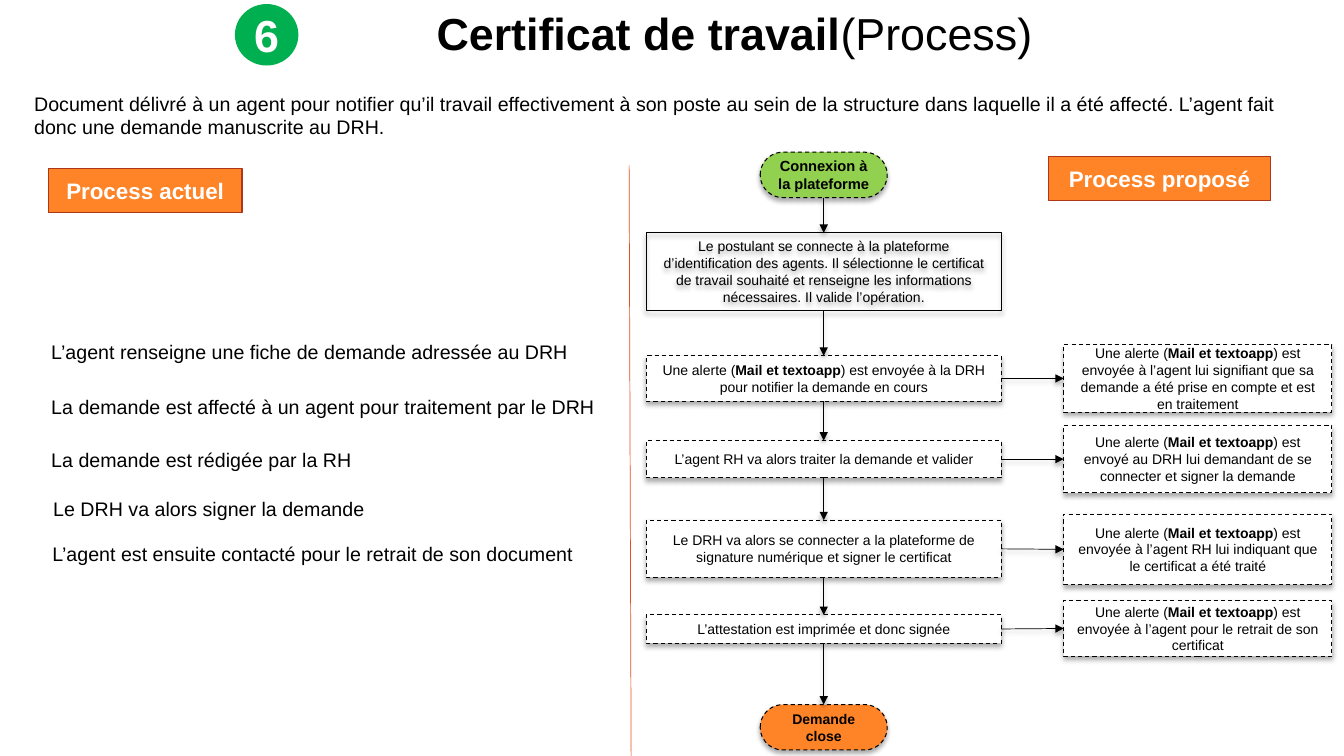
from lxml import etree
from pptx import Presentation
from pptx.dml.color import RGBColor
from pptx.enum.dml import MSO_LINE_DASH_STYLE as Dash
from pptx.enum.shapes import MSO_CONNECTOR as Connector, MSO_SHAPE as Shape
from pptx.enum.text import MSO_ANCHOR as Anchor, MSO_AUTO_SIZE as AutoSize, PP_ALIGN as Align
from pptx.oxml.ns import qn
from pptx.util import Emu, Pt

EMU_PER_PX = 9144  # 100 px to the inch
BLACK, WHITE, ORANGE = "000000", "FFFFFF", "FF8427"
TOP, LEFT, BOTTOM, RIGHT = range(4)  # connection sites

INTRO = ("Document délivré à un agent pour notifier qu’il travail effectivement à son poste "
         "au sein de la structure dans laquelle il a été affecté. L’agent fait donc une "
         "demande manuscrite au DRH.")

CURRENT_STEPS = [  # left, top, width, text
    (41, 332, 535, "L’agent renseigne une fiche de demande adressée au DRH"),
    (41, 387, 561, "La demande est affecté à un agent pour traitement par le DRH"),
    (41, 439, 319, "La demande est rédigée par la RH"),
    (43, 488, 330, "Le DRH va alors signer la demande"),
    (42, 533, 539, "L’agent est ensuite contacté pour le retrait de son document"),
]

CONNECTION_STEP = ("Le postulant se connecte à la plateforme d’identification des agents. "
                   "Il sélectionne le certificat de travail souhaité et renseigne les "
                   "informations nécessaires. Il valide l’opération.")

ALERT = "Une alerte (**Mail et textoapp**) est "
PROPOSED_STEPS = [  # step top, height, text; alert top, height, text
    (353, 45, ALERT + "envoyée à la DRH pour notifier la demande en cours",
     342, 67, ALERT + "envoyée à l’agent lui signifiant que sa demande a été prise en compte "
                      "et est en traitement"),
    (437, 37, "L’agent RH va alors traiter la demande et valider",
     422, 67, ALERT + "envoyé au DRH lui demandant de se connecter et signer la demande"),
    (516, 57, "Le DRH va alors se connecter a la plateforme de signature numérique et signer "
              "le certificat",
     510, 70, ALERT + "envoyée à l’agent RH lui indiquant que le certificat a été traité"),
    (610, 28, "L’attestation est imprimée et donc signée",
     596, 55, ALERT + "envoyée à l’agent pour le retrait de son certificat"),
]


def px(*lengths):
    return [Emu(length * EMU_PER_PX) for length in lengths]


def color(hex_code):
    return RGBColor.from_string(hex_code)


def write(box, text, size=14, ink=BLACK, align=Align.LEFT, anchor=Anchor.TOP,
          wrap=True, grow=False):
    """Fill a box with text; parts between ** marks are bold."""
    frame = box.text_frame
    frame.word_wrap = wrap
    frame.auto_size = AutoSize.SHAPE_TO_FIT_TEXT if grow else AutoSize.NONE
    frame.vertical_anchor = anchor
    para = frame.paragraphs[0]
    para.alignment = align
    for index, part in enumerate(text.split("**")):
        if part:
            span = para.add_run()
            span.text = part
            span.font.name = "Arial"
            span.font.size = Pt(size)
            span.font.bold = index % 2 == 1
            span.font.color.rgb = color(ink)


def add_text(slide, place, text, **text_format):
    write(slide.shapes.add_textbox(*px(*place)), text, **text_format)


def cast_shadow(effects):
    shadow = etree.SubElement(effects, qn("a:outerShdw"), blurRad=str(Pt(3.5)),
                              dist=str(Pt(2.2)), dir="5400000", rotWithShape="0")
    ink = etree.SubElement(shadow, qn("a:srgbClr"), val=BLACK)
    etree.SubElement(ink, qn("a:alpha"), val="32000")


def add_box(slide, kind, place, text, fill=None, line=None, width=0.75, dash=None,
            shadow=False, anchor=Anchor.MIDDLE, **text_format):
    box = slide.shapes.add_shape(kind, *px(*place))
    if fill:
        box.fill.solid()
        box.fill.fore_color.rgb = color(fill)
    else:
        box.fill.background()
    if line:
        box.line.color.rgb = color(line)
        box.line.width = Pt(width)
        box.line.dash_style = dash
    else:
        box.line.fill.background()
    box.shadow.inherit = False
    if shadow:
        cast_shadow(box._element.spPr.find(qn("a:effectLst")))
    write(box, text, align=Align.CENTER, anchor=anchor, **text_format)
    return box


def add_step(slide, place, text, kind=Shape.RECTANGLE, fill=WHITE, dash=Dash.DASH,
             size=10, **options):
    return add_box(slide, kind, place, text, fill=fill, line=BLACK, dash=dash,
                   shadow=True, size=size, **options)


def add_terminal(slide, top, text, fill, size):
    terminal = add_step(slide, (754, top, 126, 45), text, kind=Shape.ROUNDED_RECTANGLE,
                        fill=fill, size=size)
    terminal.adjustments[0] = 0.5
    return terminal


def add_heading(slide, place, text):
    add_box(slide, Shape.RECTANGLE, place, text, fill=ORANGE, line="AC3819", width=1,
            size=16, ink=WHITE)


def add_line(slide, ends, ink):
    """Draw a thin line and return it with its empty effect list."""
    line = slide.shapes.add_connector(Connector.STRAIGHT, *px(*ends))
    line.line.color.rgb = color(ink)
    line.line.width = Pt(0.5)
    return line, etree.SubElement(line._element.spPr, qn("a:effectLst"))


def add_arrow(slide, source, source_site, target, target_site):
    arrow, effects = add_line(slide, (0, 0, 0, 0), BLACK)
    arrow.begin_connect(source, source_site)
    arrow.end_connect(target, target_site)
    etree.SubElement(arrow.line._get_or_add_ln(), qn("a:tailEnd"), type="triangle")
    cast_shadow(effects)


def add_proposed_process(slide):
    flow = [
        add_terminal(slide, 151, "**Connexion à la plateforme**", "92D050", 10.5),
        add_step(slide, (641, 231, 352, 77), CONNECTION_STEP, fill=None, dash=None,
                 anchor=Anchor.TOP, grow=True),
    ]
    for top, height, text, alert_top, alert_height, alert_text in PROPOSED_STEPS:
        step = add_step(slide, (641, top, 352, height), text)
        alert = add_step(slide, (1055, alert_top, 266, alert_height), alert_text)
        add_arrow(slide, step, RIGHT, alert, LEFT)
        flow.append(step)
    flow.append(add_terminal(slide, 699, "**Demande close**", ORANGE, 10))
    for source, target in zip(flow, flow[1:]):
        add_arrow(slide, source, BOTTOM, target, TOP)


def main():
    deck = Presentation()
    deck.slide_width, deck.slide_height = px(1333, 750)
    slide = deck.slides.add_slide(deck.slide_layouts[6])

    add_box(slide, Shape.OVAL, (233, 4, 63, 61), "**6**", fill="00B050", size=32, ink=WHITE)
    add_text(slide, (348, 0, 761, 65), "**Certificat de travail**(Process)", size=32,
             align=Align.CENTER, anchor=Anchor.MIDDLE)
    add_text(slide, (24, 86, 1282, 57), INTRO, grow=True)
    add_line(slide, (624, 164, 626, 759), "E84C22")

    add_heading(slide, (48, 167, 192, 44), "**Process actuel**")
    for left, top, width, text in CURRENT_STEPS:
        add_text(slide, (left, top, width, 34), text, wrap=False, grow=True)

    add_heading(slide, (1040, 155, 220, 44), "**Process proposé**")
    add_proposed_process(slide)
    deck.save("out.pptx")


if __name__ == "__main__":
    main()
